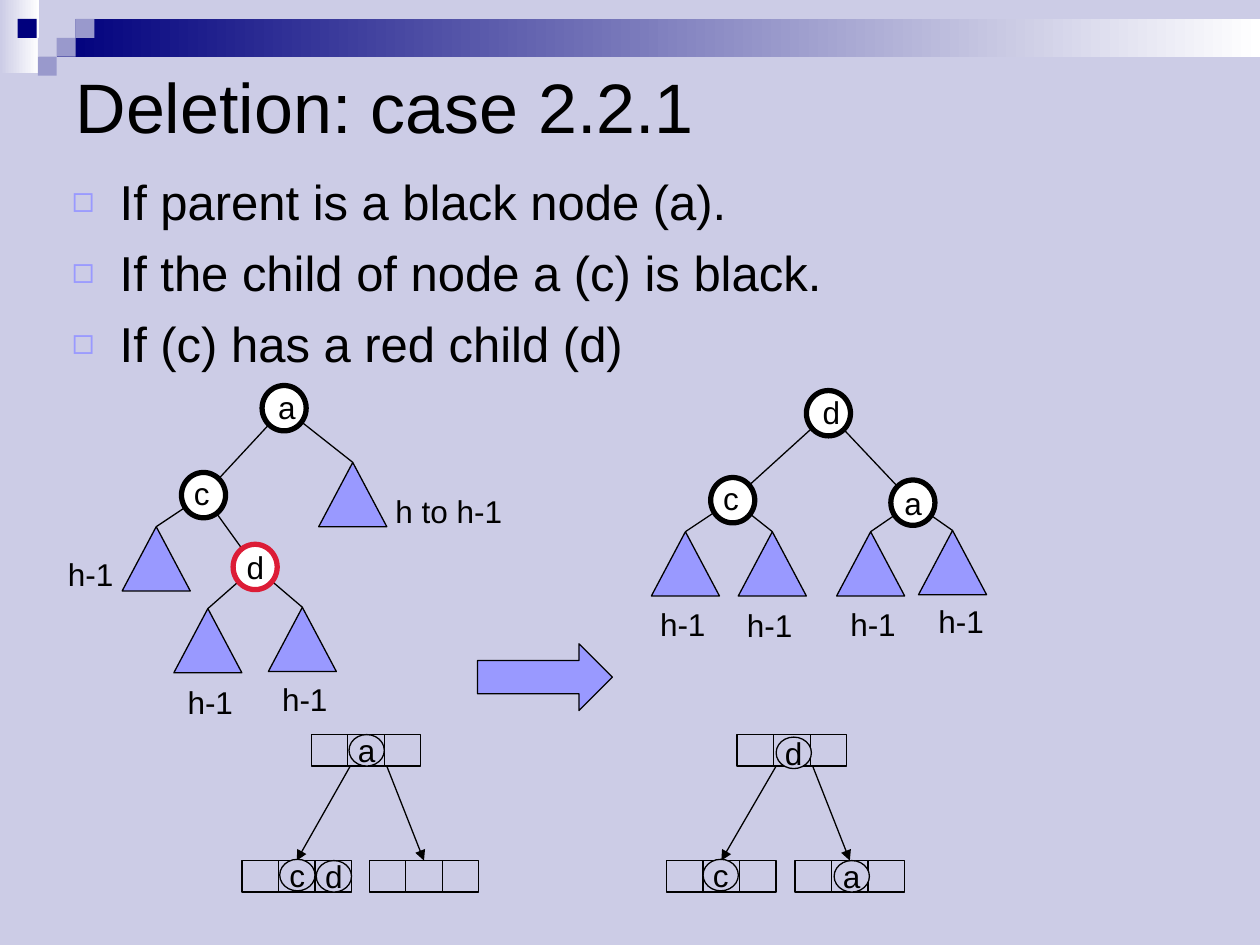
import pptx
import pptx.dml.color
import pptx.enum.shapes
import pptx.enum.text
import pptx.oxml.ns
import pptx.util
from lxml import etree

Inches = pptx.util.Inches
Pt = pptx.util.Pt
Shape = pptx.enum.shapes.MSO_SHAPE
Anchor = pptx.enum.text.MSO_ANCHOR
Align = pptx.enum.text.PP_ALIGN
qn = pptx.oxml.ns.qn

BLACK, WHITE, RED = "000000", "FFFFFF", "DC1C36"
PALE, NAVY, MUTED, VIOLET = "CCCCE6", "00007D", "9999CC", "9999FF"

TITLE = "Deletion: case 2.2.1"
CONDITIONS = [
    "If parent is a black node (a).",
    "If the child of node a (c) is black.",
    "If (c) has a red child (d)",
]
BANDS = [((0, 0, 0.31, 0.58), PALE), ((0.45, 0.15, 9.55, 0.3), NAVY)]
SQUARES = [
    (0.45, 0.15, PALE), (0.6, 0, PALE), (0.6, 0.15, MUTED), (0.3, 0.3, PALE),
    (0.14, 0.15, NAVY), (0.45, 0.3, MUTED), (0.3, 0.45, MUTED),
]
SQUARE = 0.15

NODE_SIZE = (0.35, 0.36)
SUBTREE_SIZE = (0.54, 0.51)
NODES = {
    "before a": ("a", (2.08, 3.06), (2.11, 3.03), BLACK),
    "before c": ("c", (1.44, 3.75), (1.44, 3.71), BLACK),
    "before d": ("d", (1.85, 4.32), (1.86, 4.3), RED),
    "after d": ("d", (6.4, 3.1), (6.43, 3.07), BLACK),
    "after c": ("c", (5.64, 3.79), (5.64, 3.75), BLACK),
    "after a": ("a", (7.07, 3.81), (7.08, 3.79), BLACK),
}
NODE_EDGES = [
    ("before a", "before c"), ("before c", "before d"),
    ("after d", "after c"), ("after d", "after a"),
]
SUBTREES = [
    ("before a", (2.53, 3.67), "h to h-1", (3.04, 3.86)),
    ("before c", (0.97, 4.18), "h-1", (0.44, 4.36)),
    ("before d", (1.38, 4.83), "h-1", (1.39, 5.37)),
    ("before d", (2.13, 4.82), "h-1", (2.14, 5.35)),
    ("after c", (5.17, 4.22), "h-1", (5.14, 4.75)),
    ("after c", (5.86, 4.22), "h-1", (5.83, 4.76)),
    ("after a", (6.64, 4.22), "h-1", (6.65, 4.75)),
    ("after a", (7.29, 4.21), "h-1", (7.35, 4.73)),
]

CELL = (0.29, 0.25)
KEY_SIZE = (0.28, 0.25)
PARENT_TOP, CHILD_TOP = 5.83, 6.83
BLOCKS = [
    {"parent": 2.47, "children": (1.92, 2.93),
     "keys": [("a", 2.77, 5.83), ("c", 2.22, 6.82), ("d", 2.51, 6.83)]},
    {"parent": 5.85, "children": (5.29, 6.31),
     "keys": [("d", 6.16, 5.85), ("c", 5.58, 6.82), ("a", 6.62, 6.83)]},
]
STEP_ARROW = (3.79, 5.11, 1.07, 0.53)


def color(value):
    return pptx.dml.color.RGBColor.from_string(value)


def write(para, text, size):
    span = para.add_run()
    span.text = text
    span.font.size = Pt(size)
    span.font.name = "Arial"
    span.font.color.rgb = color(BLACK)


def add_form(shapes, kind, place, fill=None, line=None, width=0.75):
    form = shapes.add_shape(kind, *map(Inches, place))
    form.shadow.inherit = False
    if fill:
        form.fill.solid()
        form.fill.fore_color.rgb = color(fill)
    else:
        form.fill.background()
    if line:
        form.line.color.rgb = color(line)
        form.line.width = Pt(width)
    else:
        form.line.fill.background()
    return form


def add_line(page, start, end, arrow=False):
    line = page.shapes.add_connector(
        pptx.enum.shapes.MSO_CONNECTOR.STRAIGHT, *map(Inches, start + end))
    line.line.color.rgb = color(BLACK)
    line.line.width = Pt(0.75)
    properties = line.element.spPr
    if arrow:
        etree.SubElement(properties.find(qn("a:ln")), qn("a:tailEnd"), type="triangle")
    etree.SubElement(properties, qn("a:effectLst"))
    return line


def add_label(page, text, corner):
    width = {"a": 0.34, "d": 0.34, "c": 0.32, "h-1": 0.56}.get(text, 1.05)
    box = page.shapes.add_textbox(*map(Inches, corner + (width, 0.4)))
    box.text_frame.word_wrap = False
    box.text_frame.auto_size = pptx.enum.text.MSO_AUTO_SIZE.SHAPE_TO_FIT_TEXT
    write(box.text_frame.paragraphs[0], text, 18)


def add_bullet(para):
    properties = para._p.get_or_add_pPr()
    properties.set("marL", str(Inches(0.38)))
    properties.set("indent", str(Inches(-0.38)))
    tint = etree.SubElement(properties, qn("a:buClr"))
    etree.SubElement(tint, qn("a:srgbClr"), val=VIOLET)
    etree.SubElement(properties, qn("a:buSzPct"), val="75000")
    etree.SubElement(properties, qn("a:buChar"), char="◻")


def place_text(holder, place):
    holder.left, holder.top, holder.width, holder.height = map(Inches, place)
    holder.text_frame.auto_size = pptx.enum.text.MSO_AUTO_SIZE.NONE
    return holder.text_frame


def add_heading(page):
    frame = place_text(page.shapes.title, (0.5, 0.5, 9, 0.67))
    frame.vertical_anchor = Anchor.MIDDLE
    frame.paragraphs[0].alignment = Align.LEFT
    write(frame.paragraphs[0], TITLE, 40)

    frame = place_text(page.placeholders[1], (0.47, 1.31, 9, 1.71))
    for index, text in enumerate(CONDITIONS):
        para = frame.add_paragraph() if index else frame.paragraphs[0]
        add_bullet(para)
        para.space_before = Pt(7 if index else 0)
        write(para, text, 28)


def add_banner(page):
    for place, start in BANDS:
        band = add_form(page.shapes, Shape.RECTANGLE, place)
        band.fill.gradient()
        band.fill.gradient_angle = 0
        for stop, value in zip(band.fill.gradient_stops, (start, WHITE)):
            stop.color.rgb = color(value)
    for left, top, fill in SQUARES:
        add_form(page.shapes, Shape.RECTANGLE, (left, top, SQUARE, SQUARE), fill)


def node_center(name):
    left, top = NODES[name][1]
    return left + NODE_SIZE[0] / 2, top + NODE_SIZE[1] / 2


def add_trees(page):
    for parent, child in NODE_EDGES:
        add_line(page, node_center(parent), node_center(child))
    for parent, (left, top), _, _ in SUBTREES:
        add_line(page, node_center(parent), (left + SUBTREE_SIZE[0] / 2, top))
    for letter, corner, label_corner, ring in NODES.values():
        add_form(page.shapes, Shape.OVAL, corner + NODE_SIZE, WHITE, ring, 3)
        add_label(page, letter, label_corner)
    for _, corner, height, label_corner in SUBTREES:
        add_form(page.shapes, Shape.FLOWCHART_EXTRACT, corner + SUBTREE_SIZE, VIOLET, BLACK)
        add_label(page, height, label_corner)


def add_cells(page, left, top):
    group = page.shapes.add_group_shape()
    return [add_form(group.shapes, Shape.RECTANGLE, (left + i * CELL[0], top) + CELL, None, BLACK)
            for i in range(3)]


def add_block(page, block):
    add_cells(page, block["parent"], PARENT_TOP)
    for index, left in enumerate(block["children"], start=1):
        middle = add_cells(page, left, CHILD_TOP)[1]
        start = (block["parent"] + index * CELL[0] + 0.02, PARENT_TOP + CELL[1])
        link = add_line(page, start, (left + 1.5 * CELL[0], CHILD_TOP), arrow=True)
        link.end_connect(middle, 0)
    for letter, left, top in block["keys"]:
        key = add_form(page.shapes, Shape.OVAL, (left, top) + KEY_SIZE, PALE, BLACK)
        key.text_frame.word_wrap = False
        key.text_frame.vertical_anchor = Anchor.MIDDLE
        key.text_frame.paragraphs[0].alignment = Align.CENTER
        write(key.text_frame.paragraphs[0], letter, 18)


def main():
    deck = pptx.Presentation()
    deck.slide_width, deck.slide_height = Inches(10), Inches(7.5)
    page = deck.slides.add_slide(deck.slide_layouts[1])
    page.background.fill.solid()
    page.background.fill.fore_color.rgb = color(PALE)
    add_banner(page)
    add_heading(page)
    add_trees(page)
    for block in BLOCKS:
        add_block(page, block)
    add_form(page.shapes, Shape.RIGHT_ARROW, STEP_ARROW, VIOLET, BLACK)
    deck.save("out.pptx")


if __name__ == "__main__":
    main()
